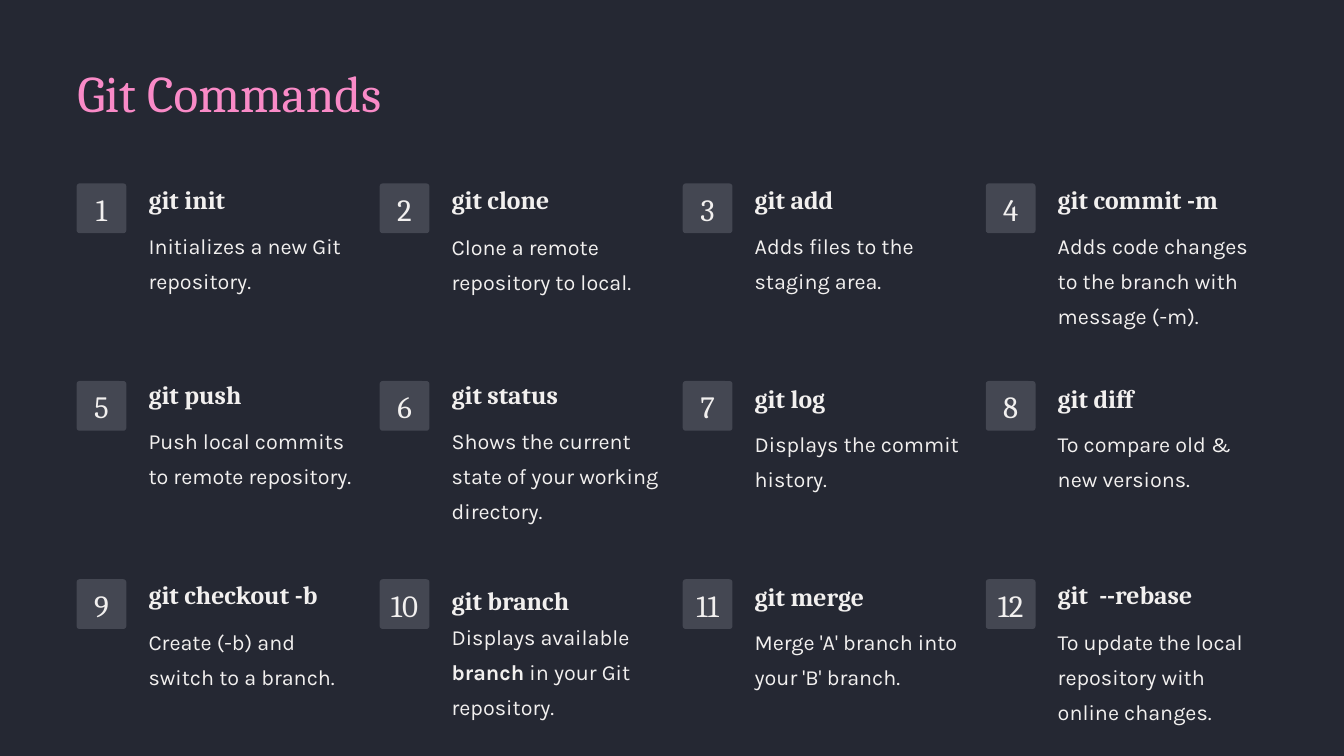
from dataclasses import dataclass

from pptx import Presentation
from pptx.dml.color import RGBColor
from pptx.enum.shapes import MSO_SHAPE
from pptx.enum.text import MSO_ANCHOR, PP_ALIGN
from pptx.util import Inches, Pt

ROUNDED = MSO_SHAPE.ROUNDED_RECTANGLE
TOP, MIDDLE = MSO_ANCHOR.TOP, MSO_ANCHOR.MIDDLE
LEFT, CENTER = PP_ALIGN.LEFT, PP_ALIGN.CENTER

BACKGROUND = RGBColor(0x25, 0x28, 0x33)
BADGE_FILL = RGBColor(0x44, 0x47, 0x52)
PINK = RGBColor(0xF9, 0x8A, 0xC7)
OFF_WHITE = RGBColor(0xF2, 0xF0, 0xEF)

SERIF, SANS = "Cambria", "Karla"

COLUMNS = 4
FIRST_LEFT, COLUMN_PITCH = 1.14, 4.51
BADGE_TOPS = (2.73, 5.67, 8.62)
BADGE_SIZE = 0.74
NUMBER_WIDTH, NUMBER_HEIGHT, NUMBER_DROP = 0.46, 0.35, 0.25
TEXT_INDENT, TEXT_WIDTH = 1.07, 3.12
HEADING_HEIGHT = 0.5
BODY_HEIGHTS = {2: 1.2, 3: 1.73}

# Each command: name, description runs (text, bold), lines, heading top, body top
COMMANDS = (
    ("git init", [("Initializes a new Git repository.", False)], 2, 2.71, 3.25),
    ("git clone", [("Clone a remote repository to local.", False)], 2, 2.71, 3.26),
    ("git add", [("Adds files to the staging area.", False)], 2, 2.71, 3.25),
    ("git commit -m",
     [("Adds code changes to the branch with message (-m).", False)], 3, 2.71, 3.25),
    ("git push", [("Push local commits to remote repository.", False)], 2, 5.61, 6.15),
    ("git status",
     [("Shows the current state of your working directory.", False)], 3, 5.61, 6.15),
    ("git log", [("Displays the commit history.", False)], 2, 5.66, 6.2),
    ("git diff", [("To compare old & new versions.", False)], 2, 5.66, 6.2),
    ("git checkout -b", [("Create (-b) and switch to a branch.", False)], 2, 8.59, 9.14),
    ("git branch",
     [("Displays available ", False), ("branch", True),
      (" in your Git repository.", False)], 3, 8.68, 9.07),
    ("git merge", [("Merge 'A' branch into your 'B' branch.", False)], 2, 8.61, 9.15),
    ("git  --rebase",
     [("To update the local repository with online changes.", False)], 3, 8.59, 9.14),
)


@dataclass
class TextStyle:
    font: str
    size: float
    line_spacing: float
    color: RGBColor = OFF_WHITE
    align: PP_ALIGN = LEFT
    anchor: MSO_ANCHOR = MIDDLE


TITLE = TextStyle(SERIF, 55, 68.8, color=PINK, anchor=TOP)
NUMBER = TextStyle(SERIF, 33.1, 33.1, align=CENTER)
HEADING = TextStyle(SERIF, 27.5, 34.4)
BODY = TextStyle(SANS, 23.1, 37.5)


class SlideBuilder:
    def __init__(self, slide):
        self.slide = slide

    def background(self, color):
        fill = self.slide.background.fill
        fill.solid()
        fill.fore_color.rgb = color

    def text(self, left, top, width, height, runs, style):
        """Add a one-paragraph text box from (text, bold) runs."""
        box = self.slide.shapes.add_textbox(
            Inches(left), Inches(top), Inches(width), Inches(height))
        frame = box.text_frame
        frame.word_wrap = True
        frame.vertical_anchor = style.anchor
        frame.margin_left = frame.margin_right = 0
        frame.margin_top = frame.margin_bottom = 0
        paragraph = frame.paragraphs[0]
        paragraph.alignment = style.align
        paragraph.line_spacing = Pt(style.line_spacing)
        for text, bold in runs:
            run = paragraph.add_run()
            run.text = text
            run.font.name = style.font
            run.font.size = Pt(style.size)
            run.font.bold = bold
            run.font.color.rgb = style.color

    def badge(self, left, top, number):
        """Add a rounded square with its number."""
        shape = self.slide.shapes.add_shape(
            ROUNDED, Inches(left), Inches(top), Inches(BADGE_SIZE), Inches(BADGE_SIZE))
        shape.adjustments[0] = 0.06
        shape.shadow.inherit = False
        shape.fill.solid()
        shape.fill.fore_color.rgb = BADGE_FILL
        shape.line.fill.background()
        self.text(left + (BADGE_SIZE - NUMBER_WIDTH) / 2, top + NUMBER_DROP,
                  NUMBER_WIDTH, NUMBER_HEIGHT, [(str(number), False)], NUMBER)

    def command(self, index, name, description, lines, heading_top, body_top):
        row, column = divmod(index, COLUMNS)
        left = FIRST_LEFT + column * COLUMN_PITCH
        text_left = left + TEXT_INDENT
        self.badge(left, BADGE_TOPS[row], index + 1)
        self.text(text_left, heading_top, TEXT_WIDTH, HEADING_HEIGHT,
                  [(name, True)], HEADING)
        self.text(text_left, body_top, TEXT_WIDTH, BODY_HEIGHTS[lines],
                  description, BODY)


def main():
    presentation = Presentation()
    presentation.slide_width = Inches(20)
    presentation.slide_height = Inches(11.25)
    blank_layout = presentation.slide_layouts[6]
    builder = SlideBuilder(presentation.slides.add_slide(blank_layout))

    builder.background(BACKGROUND)
    builder.text(1.15, 0.87, 7.7, 1, [("Git Commands", False)], TITLE)
    for index, command in enumerate(COMMANDS):
        builder.command(index, *command)

    presentation.save("out.pptx")


if __name__ == "__main__":
    main()
